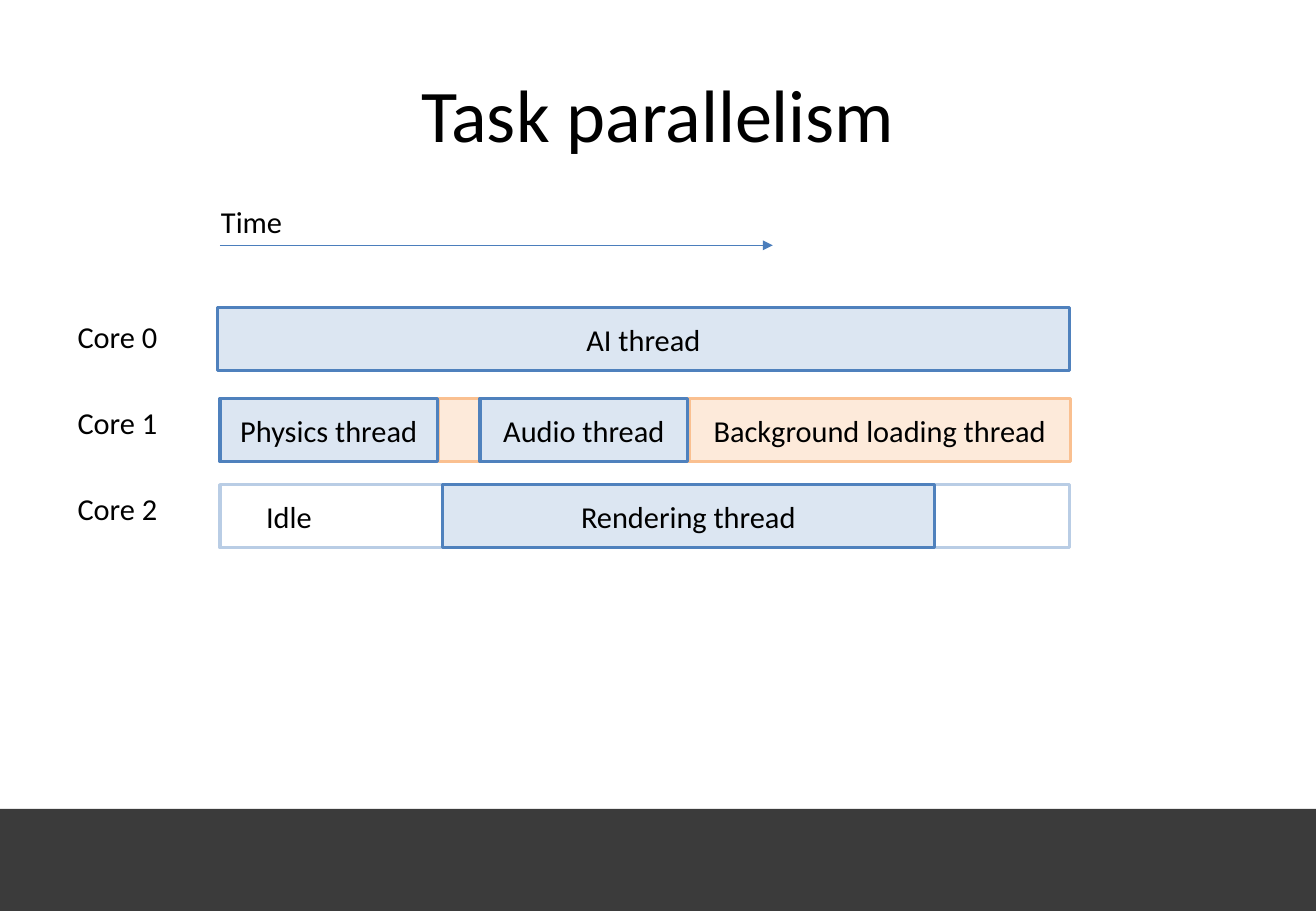
from lxml import etree
from pptx import Presentation
from pptx.dml.color import RGBColor
from pptx.enum.shapes import MSO_CONNECTOR, MSO_SHAPE
from pptx.enum.text import MSO_ANCHOR, MSO_AUTO_SIZE, PP_ALIGN
from pptx.oxml.ns import qn
from pptx.util import Inches, Pt

LEFT, CENTER = PP_ALIGN.LEFT, PP_ALIGN.CENTER
TOP, MIDDLE = MSO_ANCHOR.TOP, MSO_ANCHOR.MIDDLE
FIT_SHAPE = MSO_AUTO_SIZE.SHAPE_TO_FIT_TEXT
RECTANGLE, STRAIGHT = MSO_SHAPE.RECTANGLE, MSO_CONNECTOR.STRAIGHT

FONT = "Calibri"
COLORS = {
    "text": "000000",
    "footer": "3B3B3B",
    "arrow": "4B7EBC",
    "thread_fill": "DCE6F2", "thread_line": "4F81BD",
    "loading_fill": "FDEADA", "loading_line": "FAC090",
    "idle_fill": "FFFFFF", "idle_line": "B9CDE5",
}
SLIDE_WIDTH, SLIDE_HEIGHT = 10.83, 7.5
MARGIN_LEFT = 0.54
TIMELINE_LEFT = 1.81
LABEL_TOP, CORE_STEP = 2.57, 0.71
BAR_HEIGHT = 0.52

# Core, left, width, style and text, from back to front
BARS = [
    (1, 3.61, 0.35, "loading", ""),
    (2, TIMELINE_LEFT, 6.99, "idle", "Idle"),
    (1, 5.67, 3.14, "loading", "Background loading thread"),
    (0, 1.79, 7.01, "thread", "AI thread"),
    (1, TIMELINE_LEFT, 1.79, "thread", "Physics thread"),
    (2, 3.64, 4.05, "thread", "Rendering thread"),
    (1, 3.95, 1.71, "thread", "Audio thread"),
]
BAR_TOPS = [2.53, 3.28, 3.99]


def color(name):
    return RGBColor.from_string(COLORS[name])


def write(frame, text, size=18, align=LEFT, anchor=TOP):
    frame.vertical_anchor = anchor
    paragraph = frame.paragraphs[0]
    paragraph.alignment = align
    run = paragraph.add_run()
    run.text = text
    run.font.name = FONT
    run.font.size = Pt(size)
    run.font.color.rgb = color("text")


def add_rectangle(slide, left, top, width, height, fill, line=None):
    rectangle = slide.shapes.add_shape(
        RECTANGLE, Inches(left), Inches(top), Inches(width), Inches(height))
    rectangle.shadow.inherit = False
    rectangle.fill.solid()
    rectangle.fill.fore_color.rgb = color(fill)
    if line:
        rectangle.line.color.rgb = color(line)
        rectangle.line.width = Pt(2)
    else:
        rectangle.line.fill.background()
    return rectangle


def add_bar(slide, core, left, width, style, text):
    bar = add_rectangle(slide, left, BAR_TOPS[core], width, BAR_HEIGHT,
                        f"{style}_fill", f"{style}_line")
    if style == "idle":
        bar.text_frame.margin_left = Inches(0.38)
    if text:
        write(bar.text_frame, text, anchor=MIDDLE,
              align=LEFT if style == "idle" else CENTER)


def add_label(slide, left, top, width, text):
    label = slide.shapes.add_textbox(
        Inches(left), Inches(top), Inches(width), Inches(0.4))
    label.text_frame.word_wrap = False
    label.text_frame.auto_size = FIT_SHAPE
    write(label.text_frame, text)


def add_arrow(slide, start, end, y):
    arrow = slide.shapes.add_connector(
        STRAIGHT, Inches(start), Inches(y), Inches(end), Inches(y))
    arrow.line.color.rgb = color("arrow")
    arrow.line.width = Pt(0.75)
    etree.SubElement(arrow.line._get_or_add_ln(), qn("a:tailEnd"), type="triangle")
    etree.SubElement(arrow._element.spPr, qn("a:effectLst"))


def add_title(slide, text):
    title = slide.shapes.title
    title.left, title.top = Inches(MARGIN_LEFT), Inches(0.3)
    title.width, title.height = Inches(9.75), Inches(1.25)
    write(title.text_frame, text, size=44, align=CENTER, anchor=MIDDLE)


def main():
    deck = Presentation()
    deck.slide_width, deck.slide_height = Inches(SLIDE_WIDTH), Inches(SLIDE_HEIGHT)
    slide = deck.slides.add_slide(deck.slide_layouts[5])

    # Footer band and title
    add_rectangle(slide, 0, 6.66, SLIDE_WIDTH, 0.84, "footer")
    add_title(slide, "Task parallelism")

    # Threads on each core
    for bar in BARS:
        add_bar(slide, *bar)
    for core in range(len(BAR_TOPS)):
        add_label(slide, MARGIN_LEFT, LABEL_TOP + core * CORE_STEP, 0.87, f"Core {core}")

    # Time axis
    add_arrow(slide, TIMELINE_LEFT, 6.36, 2.02)
    add_label(slide, 1.72, 1.62, 0.71, "Time")

    deck.save("out.pptx")


if __name__ == "__main__":
    main()
